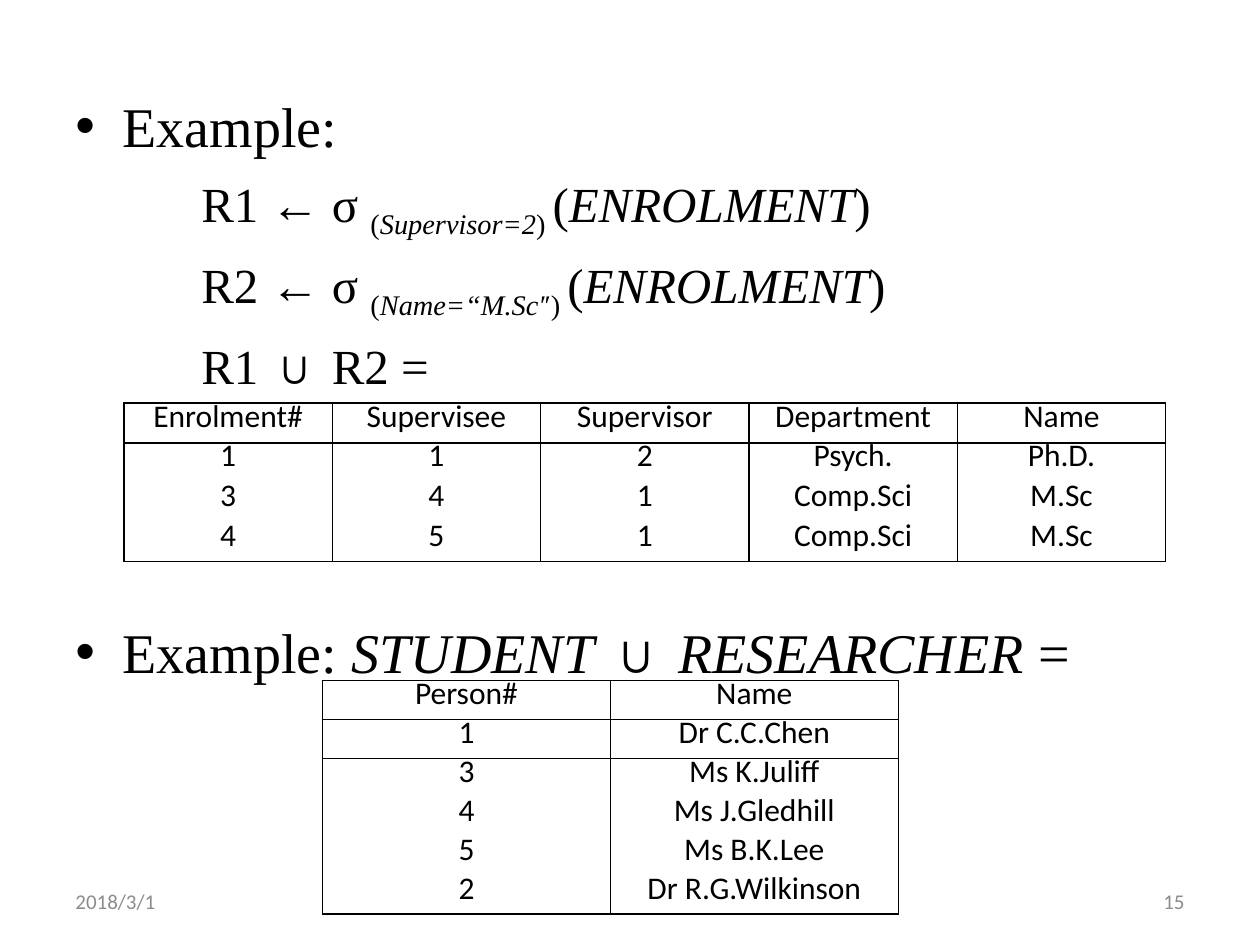
import pptx
import pptx.util
import pptx.dml.color
import pptx.enum.text
import pptx.oxml.ns
from dataclasses import dataclass
from lxml import etree

Pt = pptx.util.Pt
Align = pptx.enum.text.PP_ALIGN
Anchor = pptx.enum.text.MSO_ANCHOR
qn = pptx.oxml.ns.qn


@dataclass(frozen=True)
class Theme:
    ink: str = "000000"
    muted: str = "8C8C8C"
    serif: str = "Times New Roman"
    sans: str = "Calibri"
    heading: int = 32
    formula: int = 28
    cell: int = 18
    footer: int = 12
    rule: float = 1


THEME = Theme()


def add_run(paragraph, text, size, font, color=THEME.ink, style=""):
    """Style letters: i for italic, s for subscript."""
    run = paragraph.add_run()
    run.text = text
    run.font.size = Pt(size)
    run.font.name = font
    run.font.italic = "i" in style
    run.font.color.rgb = pptx.dml.color.RGBColor.from_string(color)
    if "s" in style:
        run.font._element.set("baseline", "-25000")


def add_text_frame(slide, box, anchor=Anchor.TOP):
    frame = slide.shapes.add_textbox(*map(Pt, box)).text_frame
    frame.word_wrap = True
    frame.vertical_anchor = anchor
    return frame


# Body: bulleted examples and indented formulas
def add_body(slide, box, lines):
    frame = add_text_frame(slide, box)
    for index, (bulleted, space, runs) in enumerate(lines):
        paragraph = frame.paragraphs[0] if index == 0 else frame.add_paragraph()
        paragraph.space_before = Pt(space)
        properties = paragraph._p.get_or_add_pPr()
        properties.set("marL", str(Pt(27 if bulleted else 72)))
        properties.set("indent", str(Pt(-27 if bulleted else 0)))
        if bulleted:
            etree.SubElement(properties, qn("a:buFont"), typeface="Arial")
            etree.SubElement(properties, qn("a:buChar"), char="\u2022")
        size = THEME.heading if bulleted else THEME.formula
        for text, style in runs:
            add_run(paragraph, text, size, THEME.serif, style=style)


def selection(name, condition, closing):
    return [(f"{name} \u2190 \u03c3 ", ""), ("(", "s"), (condition, "is"),
            (closing, "s"), ("(", ""), ("ENROLMENT", "i"), (")", "")]


# Tables: every column is ruled, rows only at the listed boundaries
def set_border(cell, side, visible):
    line = etree.SubElement(cell._tc.get_or_add_tcPr(), qn(f"a:ln{side}"),
                            w=str(Pt(THEME.rule) if visible else 0))
    if visible:
        fill = etree.SubElement(line, qn("a:solidFill"))
        etree.SubElement(fill, qn("a:srgbClr"), val=THEME.ink)
    else:
        etree.SubElement(line, qn("a:noFill"))


def add_relation(slide, box, rows, ruled):
    left, top, width, height = box
    count = len(rows[0])
    table = slide.shapes.add_table(len(rows), count, *map(Pt, box)).table
    table.first_row = table.horz_banding = False
    for column in table.columns:
        column.width = Pt(width / count)
    for row_index, values in enumerate(rows):
        table.rows[row_index].height = Pt(height / len(rows))
        for column_index, value in enumerate(values):
            cell = table.cell(row_index, column_index)
            for side, visible in (("L", True), ("R", True),
                                  ("T", row_index in ruled),
                                  ("B", row_index + 1 in ruled)):
                set_border(cell, side, visible)
            cell.fill.background()
            paragraph = cell.text_frame.paragraphs[0]
            paragraph.alignment = Align.CENTER
            paragraph.line_spacing = Pt(15)
            add_run(paragraph, value, THEME.cell, THEME.sans)


# Footer: date at the left, slide number at the right
def add_footer(slide, box, date, number):
    left, top, width, height = box
    part = 168
    for text, offset, alignment in ((date, 0, Align.LEFT),
                                    (number, width - part, Align.RIGHT)):
        frame = add_text_frame(slide, (left + offset, top, part, height), Anchor.MIDDLE)
        paragraph = frame.paragraphs[0]
        paragraph.alignment = alignment
        add_run(paragraph, text, THEME.footer, THEME.sans, THEME.muted)


def build():
    presentation = pptx.Presentation()
    presentation.slide_width, presentation.slide_height = Pt(720), Pt(540)
    slide = presentation.slides.add_slide(presentation.slide_layouts[6])

    add_body(slide, (36, 49, 648, 471), [
        (True, 2.9, [("Example:", "")]),
        (False, 8.2, selection("R1", "Supervisor=2", ") ")),
        (False, 8.2, selection("R2", "Name=\u201cM.Sc\u2032", "\u2032) ")),
        (False, 8.2, [("R1 \u222a R2 =", "")]),
        (True, 127, [("Example: ", ""), ("STUDENT", "i"), (" \u222a ", ""),
                     ("RESEARCHER", "i"), (" =", "")]),
    ])
    add_relation(slide, (70.8, 230.4, 595.4, 90.7), [
        ("Enrolment#", "Supervisee", "Supervisor", "Department", "Name"),
        ("1", "1", "2", "Psych.", "Ph.D."),
        ("3", "4", "1", "Comp.Sci", "M.Sc"),
        ("4", "5", "1", "Comp.Sci", "M.Sc"),
    ], ruled={0, 1, 4})
    add_relation(slide, (184.3, 389, 329, 133.2), [
        ("Person#", "Name"),
        ("1", "Dr C.C.Chen"),
        ("3", "Ms K.Juliff"),
        ("4", "Ms J.Gledhill"),
        ("5", "Ms B.K.Lee"),
        ("2", "Dr R.G.Wilkinson"),
    ], ruled={0, 1, 2, 6})
    add_footer(slide, (36, 500.5, 648, 28.8), "2018/3/1", "15")
    presentation.save("out.pptx")


build()
